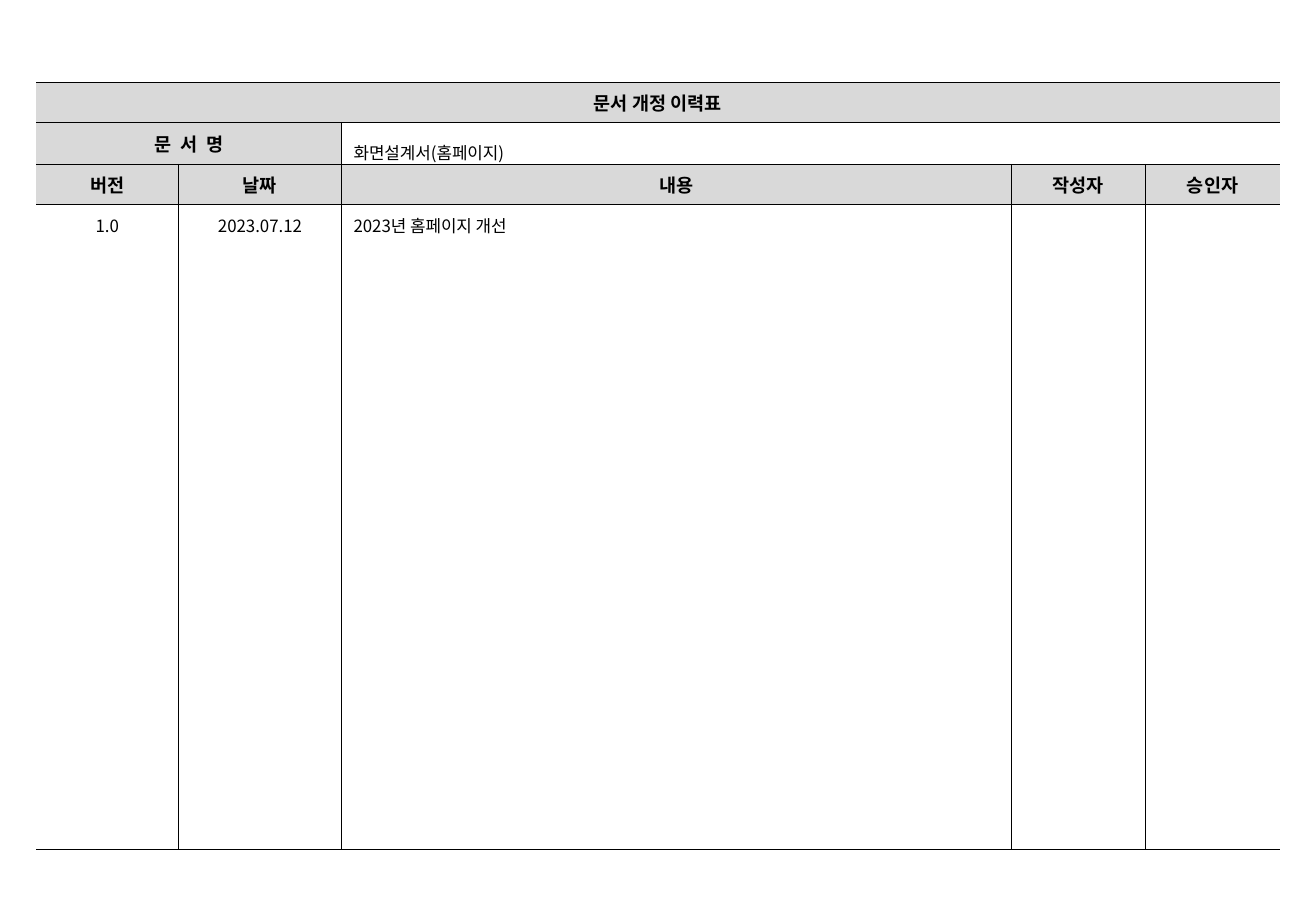
from lxml import etree
from pptx import Presentation
from pptx.dml.color import RGBColor
from pptx.enum import text as t
from pptx.oxml import ns
from pptx.util import Pt

FONT = "Noto Sans CJK KR"
BLACK, HEADER_GRAY = "000000", "D9D9D9"
CENTER, LEFT = t.PP_ALIGN.CENTER, t.PP_ALIGN.LEFT

COLUMN_WIDTHS = [84.4, 96.6, 397, 79.6, 79.6]
ENTRY_ROWS = 17
ROW_HEIGHTS = [23.75, 24.9, 23.75, 24.5] + [22.38] * (ENTRY_ROWS - 1)
RULED_EDGES = {0, 1, 2, 3, len(ROW_HEIGHTS)}
DOCUMENT_NAME_COLUMN = 2

HEADINGS = ["버전", "날짜", "내용", "작성자", "승인자"]
REVISION = ["1.0", "2023.07.12", "2023년 홈페이지 개선"]


def color(hex_code):
    return RGBColor.from_string(hex_code)


def write(cell, words, size=10, bold=False, align=CENTER, line_spacing=None, tracking=0):
    paragraph = cell.text_frame.paragraphs[0]
    paragraph.alignment = align
    paragraph.line_spacing = line_spacing
    run = paragraph.add_run()
    run.text = words
    run.font.size, run.font.bold, run.font.name = Pt(size), bold, FONT
    run.font.color.rgb = color(BLACK)
    properties = run.font._element
    etree.SubElement(properties, ns.qn("a:ea"), typeface=FONT)
    if tracking:
        properties.set("spc", str(round(tracking * 100)))


def write_heading(cell, words, **formatting):
    write(cell, words, size=11, bold=True, **formatting)
    cell.fill.solid()
    cell.fill.fore_color.rgb = color(HEADER_GRAY)


def shrink_empty(cell, size=10):
    """Keep an empty cell from growing to the default text size."""
    paragraph = cell.text_frame.paragraphs[0]._p
    etree.SubElement(paragraph, ns.qn("a:endParaRPr"), sz=str(size * 100))


def has_column_rule(row, edge):
    if edge in (0, len(COLUMN_WIDTHS)) or row == 0:
        return False
    return row > 1 or edge == DOCUMENT_NAME_COLUMN


def set_borders(cell, row, column):
    sides = {
        "L": has_column_rule(row, column),
        "R": has_column_rule(row, column + 1),
        "T": row in RULED_EDGES,
        "B": row + 1 in RULED_EDGES,
    }
    properties = cell._tc.get_or_add_tcPr()
    for side, ruled in sides.items():
        line = etree.SubElement(properties, ns.qn(f"a:ln{side}"), w=str(Pt(0.75)))
        paint = etree.SubElement(line, ns.qn("a:solidFill" if ruled else "a:noFill"))
        if ruled:
            etree.SubElement(paint, ns.qn("a:srgbClr"), val=BLACK)


def add_revision_table(slide, left, top):
    frame = slide.shapes.add_table(
        len(ROW_HEIGHTS), len(COLUMN_WIDTHS), Pt(left), Pt(top),
        Pt(sum(COLUMN_WIDTHS)), Pt(sum(ROW_HEIGHTS)))
    table = frame.table
    table.first_row = table.horz_banding = False
    for column, width in zip(table.columns, COLUMN_WIDTHS):
        column.width = Pt(width)
    for r, height in enumerate(ROW_HEIGHTS):
        table.rows[r].height = Pt(height)
        for c in range(len(COLUMN_WIDTHS)):
            cell = table.cell(r, c)
            cell.vertical_anchor = t.MSO_ANCHOR.MIDDLE
            cell.margin_top = cell.margin_bottom = Pt(3.6)
            set_borders(cell, r, c)
            cell.fill.background()

    last = len(COLUMN_WIDTHS) - 1
    table.cell(0, 0).merge(table.cell(0, last))
    table.cell(1, 0).merge(table.cell(1, DOCUMENT_NAME_COLUMN - 1))
    table.cell(1, DOCUMENT_NAME_COLUMN).merge(table.cell(1, last))

    write_heading(table.cell(0, 0), "문서 개정 이력표")
    write_heading(table.cell(1, 0), "문 서 명", tracking=1.4)
    document_name = table.cell(1, DOCUMENT_NAME_COLUMN)
    document_name.margin_top, document_name.margin_bottom = Pt(3.2), Pt(0)
    write(document_name, "화면설계서(홈페이지)", align=LEFT, line_spacing=1.5)
    for c, heading in enumerate(HEADINGS):
        write_heading(table.cell(2, c), heading)
    for c, entry in enumerate(REVISION):
        write(table.cell(3, c), entry, align=LEFT if c == 2 else CENTER)
    for cell in table.iter_cells():
        if not cell.text_frame.text:
            shrink_empty(cell)


def main():
    deck = Presentation()
    deck.slide_width, deck.slide_height = Pt(780), Pt(540)
    slide = deck.slides.add_slide(deck.slide_layouts[6])
    add_revision_table(slide, left=21.4, top=48.8)
    deck.save("out.pptx")


if __name__ == "__main__":
    main()
